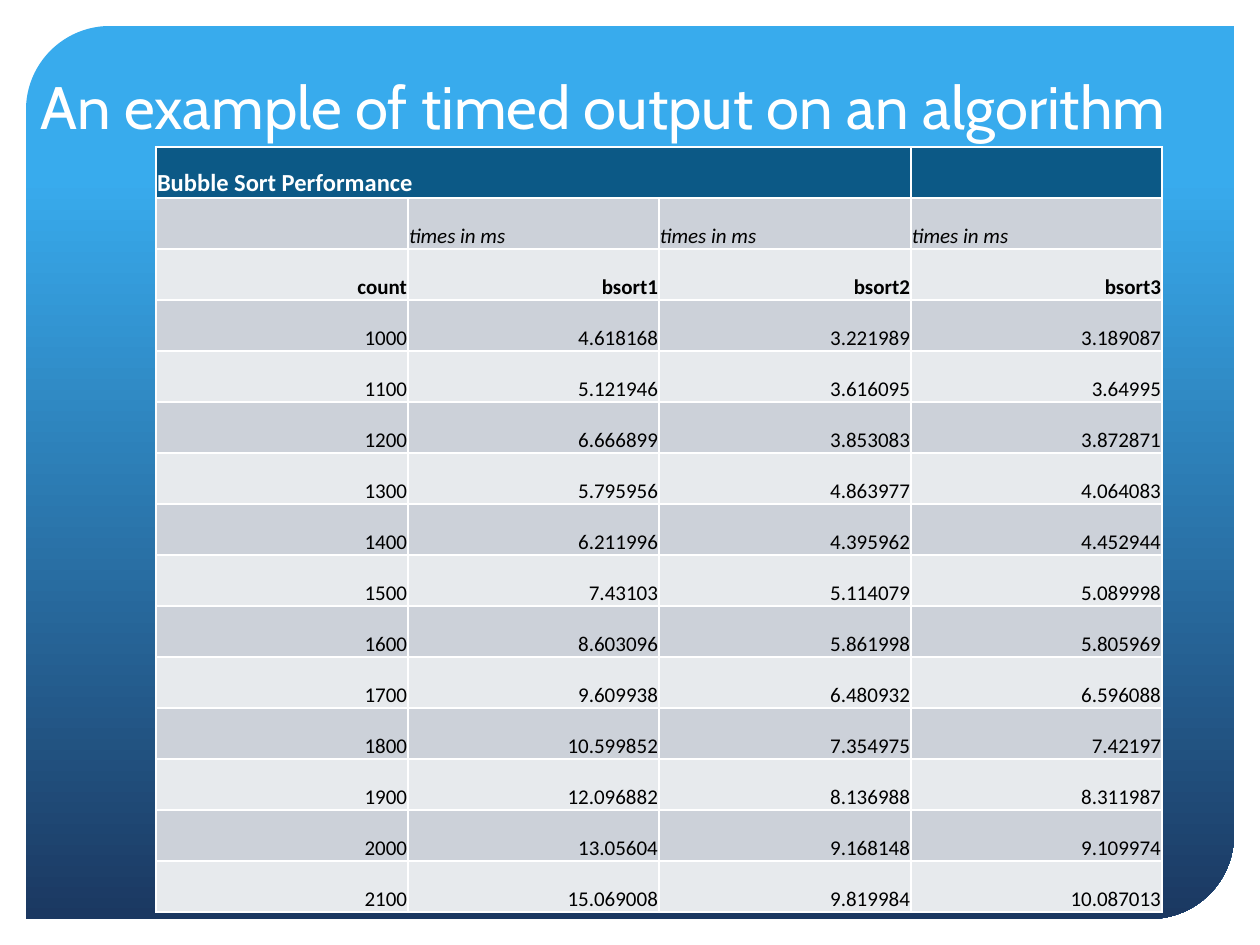
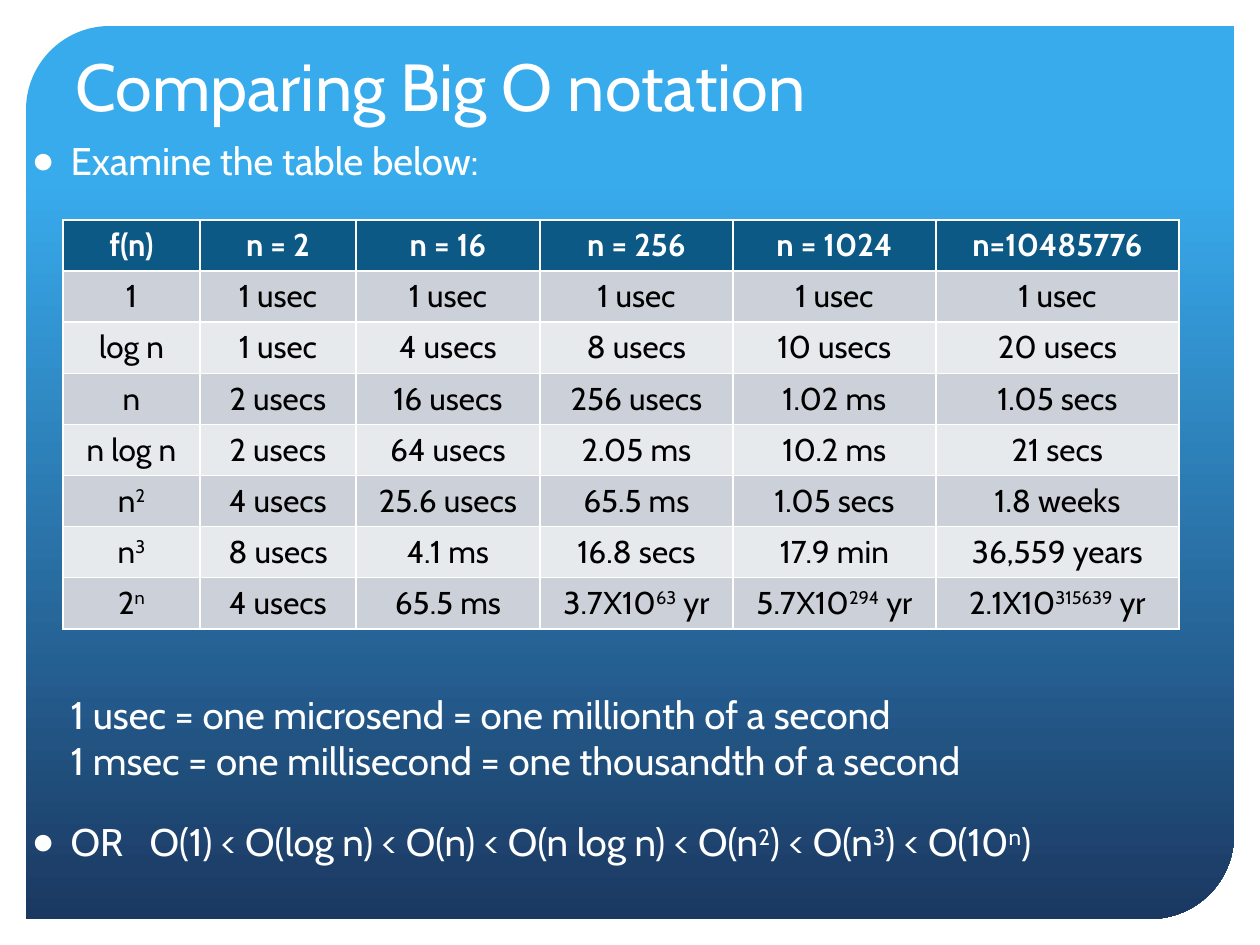
"""Build two slides on timing algorithms and comparing Big O notation."""
from lxml.etree import SubElement
from pptx import Presentation
from pptx.dml.color import RGBColor
from pptx.enum.shapes import MSO_SHAPE
from pptx.enum.text import MSO_ANCHOR, MSO_AUTO_SIZE, PP_ALIGN
from pptx.oxml.ns import qn
from pptx.util import Emu, Pt

COLORS = {
    "sky": "38ABED",
    "navy": "1B3861",
    "header": "0C5986",
    "dark_band": "CCD1D9",
    "light_band": "E7EAED",
    "white": "FFFFFF",
    "black": "000000",
}
PIXEL = 914400 / 126
ROW_HEIGHT = 51
BODY_INDENT = 39

TIMINGS = """1000 4.618168 3.221989 3.189087
1100 5.121946 3.616095 3.64995
1200 6.666899 3.853083 3.872871
1300 5.795956 4.863977 4.064083
1400 6.211996 4.395962 4.452944
1500 7.43103 5.114079 5.089998
1600 8.603096 5.861998 5.805969
1700 9.609938 6.480932 6.596088
1800 10.599852 7.354975 7.42197
1900 12.096882 8.136988 8.311987
2000 13.05604 9.168148 9.109974
2100 15.069008 9.819984 10.087013"""

GROWTH = [
    ["f(n)", "n = 2", "n = 16", "n = 256", "n = 1024", "n=10485776"],
    ["1"] + ["1 usec"] * 5,
    ["log n", "1 usec", "4 usecs", "8 usecs", "10 usecs", "20 usecs"],
    ["n", "2 usecs", "16 usecs", "256 usecs", "1.02 ms", "1.05 secs"],
    ["n log n", "2 usecs", "64 usecs", "2.05 ms", "10.2 ms", "21 secs"],
    ["n^2^", "4 usecs", "25.6 usecs", "65.5 ms", "1.05 secs", "1.8 weeks"],
    ["n^3^", "8 usecs", "4.1 ms", "16.8 secs", "17.9 min", "36,559 years"],
    ["2^n^", "4 usecs", "65.5 ms", "3.7X10^63^ yr", "5.7X10^294^ yr",
     "2.1X10^315639^ yr"],
]


def px(length):
    """Turn pixels into EMU."""
    return Emu(round(length * PIXEL))


def rgb(name):
    """Look up a named colour."""
    return RGBColor.from_string(COLORS[name])


def place(shape, left, top, width, height):
    """Move and size a shape in pixels."""
    shape.left, shape.top = px(left), px(top)
    shape.width, shape.height = px(width), px(height)


def write(paragraph, text, size, color="white", face="Cabin", bold=None, italic=None):
    """Fill a paragraph, raising the text between carets."""
    for position, part in enumerate(text.split("^")):
        if part:
            run = paragraph.add_run()
            run.text = part
            if position % 2:
                run._r.get_or_add_rPr().set("baseline", "30000")
    font = paragraph.font
    font.name, font.size, font.bold, font.italic = face, Pt(size), bold, italic
    font.color.rgb = rgb(color)


def add_backdrop(prs, slide):
    """Put the gradient panel behind everything on the master."""
    panel = slide.shapes.add_shape(
        MSO_SHAPE.ROUND_2_DIAG_RECTANGLE, px(26), px(26), px(1208), px(893))
    panel.adjustments[0], panel.adjustments[1] = 0.094, 0
    panel.shadow.inherit = False
    panel.line.fill.background()
    panel.fill.gradient()
    panel.fill.gradient_angle = 270
    for stop, position, name in zip(
            panel.fill.gradient_stops, (0.17, 1), ("sky", "navy")):
        stop.position, stop.color.rgb = position, rgb(name)
    prs.slide_master.shapes.element.insert(2, panel.element)


def set_title(slide, text, size, box):
    """Write the slide title."""
    title = slide.shapes.title
    place(title, *box)
    frame = title.text_frame
    frame.auto_size = MSO_AUTO_SIZE.NONE
    frame.vertical_anchor = MSO_ANCHOR.BOTTOM
    frame.paragraphs[0].alignment = PP_ALIGN.LEFT
    write(frame.paragraphs[0], text, size)


def add_banded_table(slide, left, top, widths, row_count):
    """Add a table with a dark header and alternating row fills."""
    table = slide.shapes.add_table(
        row_count, len(widths), px(left), px(top),
        px(sum(widths)), px(row_count * ROW_HEIGHT)).table
    for column, width in zip(table.columns, widths):
        column.width = px(width)
    for index, row in enumerate(table.rows):
        row.height = px(ROW_HEIGHT)
        band = "header" if index == 0 else ("light_band", "dark_band")[index % 2]
        for cell in row.cells:
            cell.fill.solid()
            cell.fill.fore_color.rgb = rgb(band)
    return table


def add_timing_table(slide):
    """Add the bubble sort timings."""
    rows = [["Bubble Sort Performance", "", "", ""],
            [""] + ["times in ms"] * 3,
            ["count", "bsort1", "bsort2", "bsort3"]]
    rows += [line.split() for line in TIMINGS.splitlines()]
    styles = [dict(size=14, bold=True), dict(size=12, color="black", italic=True),
              dict(size=12, color="black", bold=True)]
    table = add_banded_table(slide, 156, 147, [252, 251, 252, 251], len(rows))
    table.cell(0, 0).merge(table.cell(0, 2))
    for index, values in enumerate(rows):
        style = styles[index] if index < 3 else dict(size=12, color="black")
        for cell, value in zip(table.rows[index].cells, values):
            cell.margin_left = cell.margin_right = cell.margin_top = px(1)
            cell.margin_bottom = 0
            cell.vertical_anchor = MSO_ANCHOR.BOTTOM
            paragraph = cell.text_frame.paragraphs[0]
            paragraph.alignment = PP_ALIGN.LEFT if index < 2 else PP_ALIGN.RIGHT
            write(paragraph, value, face="Calibri", **style)


def add_growth_table(slide):
    """Add the running times for each order of growth."""
    table = add_banded_table(slide, 63, 220, [137, 156, 184, 193, 203, 243], len(GROWTH))
    for index, values in enumerate(GROWTH):
        for cell, value in zip(table.rows[index].cells, values):
            paragraph = cell.text_frame.paragraphs[0]
            paragraph.alignment = PP_ALIGN.CENTER
            write(paragraph, value, 18, "black" if index else "white", bold=index == 0)


def add_body_line(paragraph, text, before, bullet):
    """Write a body line with or without a bullet."""
    paragraph.space_before = Pt(before)
    properties = paragraph._p.get_or_add_pPr()
    properties.set("marL", str(px(BODY_INDENT)))
    properties.set("indent", str(px(-BODY_INDENT if bullet else 0)))
    if bullet:
        SubElement(properties, qn("a:buChar")).set("char", "●")
    else:
        SubElement(properties, qn("a:buNone"))
    if "\t" in text:
        stop = SubElement(SubElement(properties, qn("a:tabLst")), qn("a:tab"))
        stop.set("pos", str(px(118)))
        stop.set("algn", "l")
    write(paragraph, text, 22)


def fill_body(slide):
    """Write the lines above and below the growth table."""
    body = slide.placeholders[1]
    place(body, 19, 131, 1218, 813)
    frame = body.text_frame
    frame.auto_size = MSO_AUTO_SIZE.NONE
    lines = [
        ("Examine the table below:", 0, True),
        ("1 usec = one microsend = one millionth of a second", 290, False),
        ("1 msec = one millisecond = one thousandth of a second", 0, False),
        ("OR\tO(1) < O(log n) < O(n) < O(n log n) < O(n^2^) < O(n^3^) < O(10^n^)", 20, True),
    ]
    for index, line in enumerate(lines):
        add_body_line(frame.add_paragraph() if index else frame.paragraphs[0], *line)


def main():
    """Build and save the slides."""
    prs = Presentation()
    prs.slide_width, prs.slide_height = px(1260), px(945)

    timing = prs.slides.add_slide(prs.slide_layouts[5])
    add_backdrop(prs, timing)
    set_title(timing, "An example of timed output on an algorithm", 34.2, (28, 19, 1232, 129))
    add_timing_table(timing)

    growth = prs.slides.add_slide(prs.slide_layouts[1])
    set_title(growth, "Comparing Big O notation", 38, (63, 38, 1157, 93))
    fill_body(growth)
    add_growth_table(growth)

    prs.save("out.pptx")


main()
